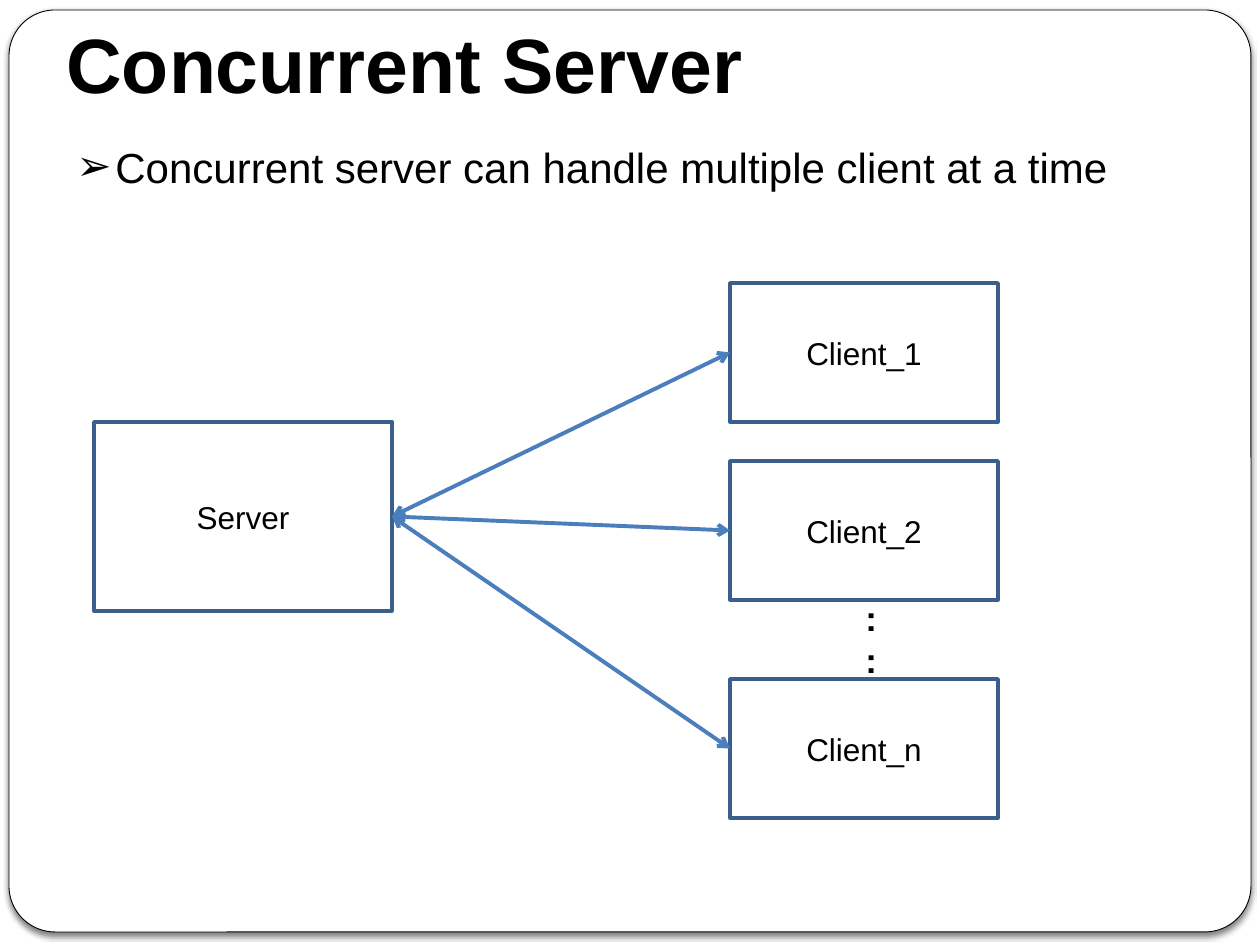
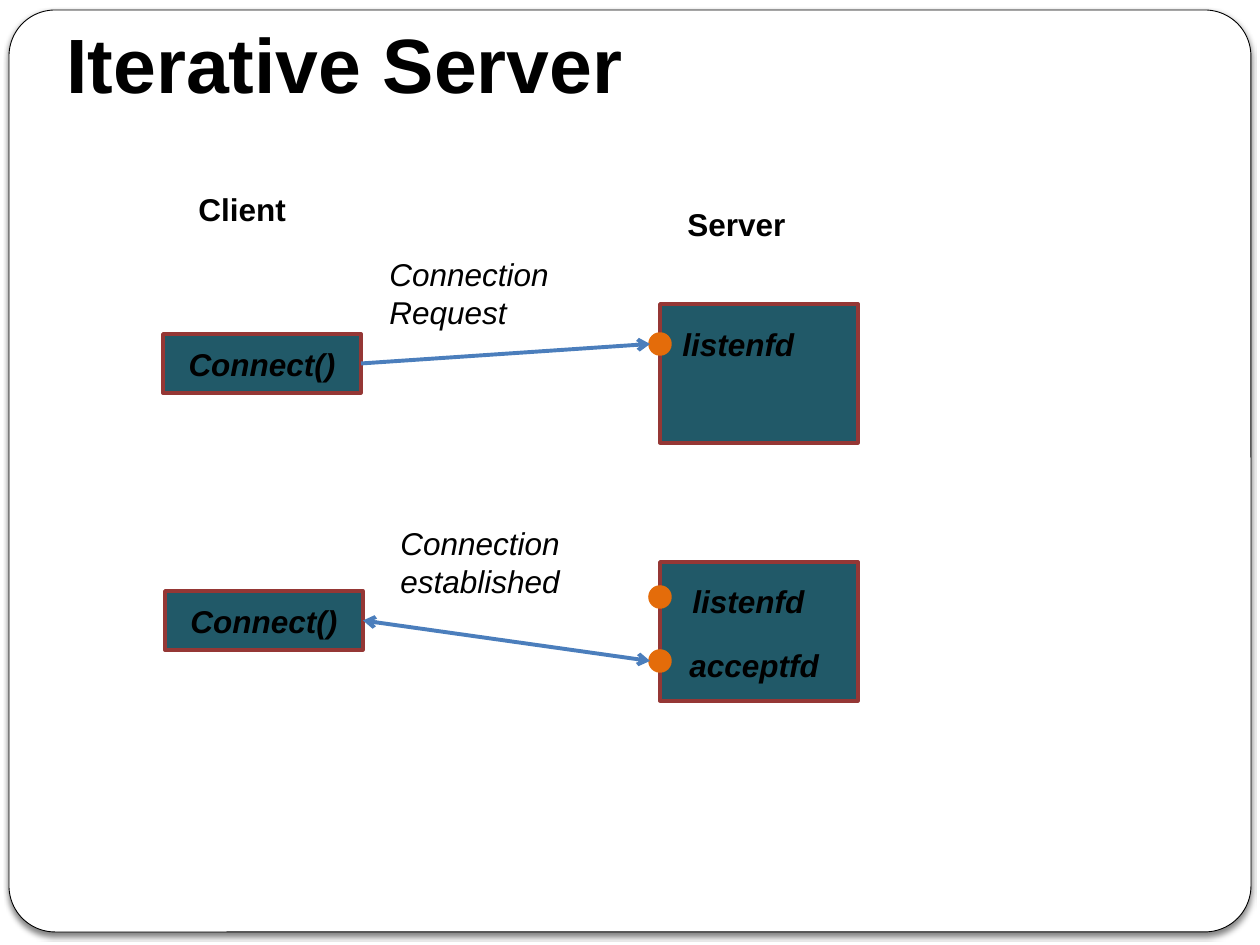
from lxml import etree
from pptx import Presentation
from pptx import util as u
from pptx.dml.color import RGBColor
from pptx.enum import shapes, text
from pptx.oxml.ns import qn

PX = 914400 / 126  # EMU per px
FONT = "Arial"
BLACK, WHITE, BLUE, BORDER = "000000", "FFFFFF", "4B7EBC", "3A5F8C"
TEAL, MAROON, ORANGE = "215968", "953735", "E46C0A"
MIDDLE = text.MSO_ANCHOR.MIDDLE
CENTER, JUSTIFY = text.PP_ALIGN.CENTER, text.PP_ALIGN.JUSTIFY

# Content: boxes are (left, top, width, height) in px
CONCURRENT = {
    "title": "Concurrent Server",
    "bullet": "Concurrent server can handle multiple client at a time",
    "server": ("Server", (94, 422, 298, 189)),
    "clients": [("Client_1", 283), ("Client_2", 461), ("Client_n", 679)],
}
CLIENT_LEFT, CLIENT_W, CLIENT_H = 730, 268, 139

ITERATIVE = {
    "title": "Iterative Server",
    "headings": [("Client", 186, 184), ("Server", 675, 199)],
    "exchanges": [
        {"call": ("Connect()", 163, 334), "server_top": 304,
         "message": ("Connection Request", 377, 249),
         "sockets": [("listenfd", 344, 670, 319)], "two_way": False},
        {"call": ("Connect()", 165, 591), "server_top": 562,
         "message": ("Connection established", 388, 518),
         "sockets": [("listenfd", 597, 680, 576), ("acceptfd", 661, 677, 640)],
         "two_way": True},
    ],
}
BOX_W, CALL_H, SERVER_LEFT, SERVER_H, DOT = 198, 59, 660, 139, 20


def px(*values):
    return [u.Emu(round(v * PX)) for v in values]


def rgb(value):
    return RGBColor.from_string(value)


def write(tf, lines, size=18, bold=False, italic=False, align=None):
    for i, line in enumerate(lines):
        p = tf.paragraphs[0] if i == 0 else tf.add_paragraph()
        if align is not None:
            p.alignment = align
        r = p.add_run()
        r.text = line
        r.font.name, r.font.size = FONT, u.Pt(size)
        r.font.bold, r.font.italic = bold, italic
        r.font.color.rgb = rgb(BLACK)


def add_label(s, box, *lines, anchor=None, grow=True, **style):
    tf = s.shapes.add_textbox(*px(*box)).text_frame
    tf.word_wrap = True
    if grow:
        tf.auto_size = text.MSO_AUTO_SIZE.SHAPE_TO_FIT_TEXT
    if anchor is not None:
        tf.vertical_anchor = anchor
    write(tf, lines, **style)
    return tf


def add_box(s, box, line, fill=None, width=2, caption=None,
            kind=shapes.MSO_SHAPE.RECTANGLE, **style):
    sp = s.shapes.add_shape(kind, *px(*box))
    sp.shadow.inherit = False
    if fill:
        sp.fill.solid()
        sp.fill.fore_color.rgb = rgb(fill)
    else:
        sp.fill.background()
    sp.line.color.rgb = rgb(line)
    sp.line.width = u.Pt(width)
    if caption:
        sp.text_frame.vertical_anchor = MIDDLE
        write(sp.text_frame, [caption], align=CENTER, **style)
    return sp


def add_arrow(s, start, end, two_way):
    c = s.shapes.add_connector(shapes.MSO_CONNECTOR.STRAIGHT, *px(*start, *end))
    c.line.color.rgb = rgb(BLUE)
    c.line.width = u.Pt(2.25)
    ln = c.line._get_or_add_ln()
    for tag in ["a:headEnd", "a:tailEnd"] if two_way else ["a:tailEnd"]:
        etree.SubElement(ln, qn(tag), type="arrow")
    etree.SubElement(c._element.spPr, qn("a:effectLst"))


def add_bullet(p, indent):
    pPr = p._p.get_or_add_pPr()
    pPr.set("marL", str(indent))
    pPr.set("indent", str(-indent))
    etree.SubElement(pPr, qn("a:buFont"), typeface=FONT)
    etree.SubElement(pPr, qn("a:buChar"), char="➢")


def new_slide(prs, title):
    """Blank slide with the shared rounded frame and title."""
    s = prs.slides.add_slide(prs.slide_layouts[6])
    frame = add_box(s, (9, 10, 1242, 922), BLACK, WHITE, 0.5,
                    kind=shapes.MSO_SHAPE.ROUNDED_RECTANGLE)
    frame.adjustments[0] = 0.05
    effects = frame._element.spPr.find(qn("a:effectLst"))
    shadow = etree.SubElement(effects, qn("a:outerShdw"), blurRad="38100",
                              dist="25400", dir="5400000", rotWithShape="0")
    color = etree.SubElement(shadow, qn("a:srgbClr"), val=BLACK)
    etree.SubElement(color, qn("a:alpha"), val="50000")
    add_label(s, (54, 4, 1071, 118), title, anchor=MIDDLE, grow=False,
              size=44, bold=True)
    return s


def build_concurrent(prs, data):
    s = new_slide(prs, data["title"])
    tf = add_label(s, (64, 135, 1101, 63), data["bullet"], size=24, align=JUSTIFY)
    add_bullet(tf.paragraphs[0], px(39)[0])

    # Server on the left, one two-way arrow per client
    name, (x, y, w, h) = data["server"]
    add_box(s, (x, y, w, h), BORDER, caption=name)
    for client, top in data["clients"]:
        add_box(s, (CLIENT_LEFT, top, CLIENT_W, CLIENT_H), BORDER, caption=client)
        add_arrow(s, (x + w, y + h / 2), (CLIENT_LEFT, top + CLIENT_H / 2), True)
    add_label(s, (853, 590, 79, 97), ":", ":", size=20, bold=True)


def build_iterative(prs, data):
    s = new_slide(prs, data["title"])
    for heading, x, y in data["headings"]:
        add_label(s, (x, y, 139, 50), heading, bold=True)

    for step in data["exchanges"]:
        call, x, y = step["call"]
        add_box(s, (x, y, BOX_W, CALL_H), MAROON, TEAL, caption=call,
                bold=True, italic=True)
        add_box(s, (SERVER_LEFT, step["server_top"], BOX_W, SERVER_H), MAROON, TEAL)

        # Sockets sit on the server's left edge
        for socket, mid, label_x, label_y in step["sockets"]:
            add_box(s, (SERVER_LEFT - DOT / 2, mid - DOT / 2, DOT, DOT), ORANGE,
                    ORANGE, kind=shapes.MSO_SHAPE.OVAL)
            add_label(s, (label_x, label_y, 180, 50), socket, bold=True, italic=True)

        # The call reaches the last socket listed
        add_arrow(s, (x + BOX_W, y + CALL_H / 2),
                  (SERVER_LEFT - DOT / 2, step["sockets"][-1][1]), step["two_way"])
        message, x, y = step["message"]
        add_label(s, (x, y, 258, 89), message, italic=True)


def main():
    prs = Presentation()
    prs.slide_width, prs.slide_height = px(1260, 945)
    build_concurrent(prs, CONCURRENT)
    build_iterative(prs, ITERATIVE)
    prs.save("out.pptx")


if __name__ == "__main__":
    main()
